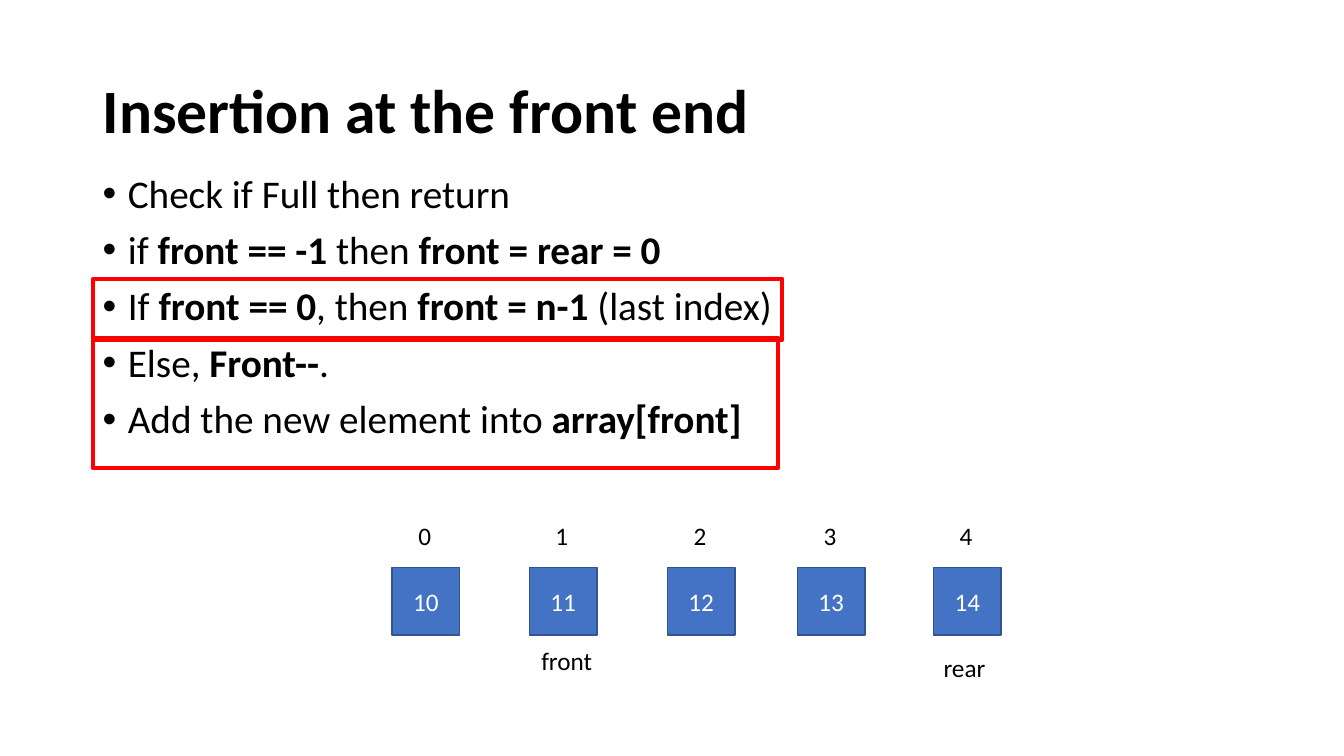
"""Build the slide on inserting at the front end of a circular deque."""
from pptx import Presentation
from pptx.dml.color import RGBColor
from pptx.enum.shapes import MSO_SHAPE as Shape
from pptx.enum.text import MSO_ANCHOR as Anchor, PP_ALIGN as Align
from pptx.oxml import parse_xml
from pptx.oxml.ns import nsdecls
from pptx.util import Inches, Pt

TITLE = "Insertion at the front end"
STEPS = [
    [("Check if Full then return", False)],
    [("if ", False), ("front == -1 ", True), ("then ", False), ("front = rear = 0", True)],
    [("If ", False), ("front == 0", True), (", then ", False), ("front = n-1 ", True),
     ("(last index)", False)],
    [("Else, ", False), ("Front--", True), (".", False)],
    [("Add the new element into ", False), ("array[front]", True)],
]
CELLS = [("10", 3.89), ("11", 5.25), ("12", 6.62), ("13", 7.91), ("14", 9.26)]
POINTERS = [("front", 5.27, 6.35, 0.71), ("rear", 9.26, 6.42, 0.62)]
HIGHLIGHTS = [(0.92, 3.35, 6.8, 1.29), (0.92, 2.77, 6.84, 0.6)]
CELL_TOP, CELL_SIZE = 5.63, 0.67
INDEX_TOP, INDEX_INSET = 5.11, 0.16


def color(hex_code):
    """Turn a hex string into a colour."""
    return RGBColor.from_string(hex_code)


def add_run(paragraph, text, size, bold=False, ink="000000"):
    """Append one styled run."""
    run = paragraph.add_run()
    run.text = text
    run.font.name = "Calibri"
    run.font.size = Pt(size)
    run.font.bold = bold
    run.font.color.rgb = color(ink)


def add_frame(box, wrap=True):
    """Add a text box and return its text frame."""
    frame = slide.shapes.add_textbox(*map(Inches, box)).text_frame
    frame.word_wrap = wrap
    return frame


def add_rect(box, outline, width, fill=None):
    """Add an outlined rectangle, filled if a colour is given."""
    rect = slide.shapes.add_shape(Shape.RECTANGLE, *map(Inches, box))
    rect.shadow.inherit = False
    rect.line.color.rgb = color(outline)
    rect.line.width = Pt(width)
    if fill:
        rect.fill.solid()
        rect.fill.fore_color.rgb = color(fill)
    else:
        rect.fill.background()
    return rect


def add_bullet(paragraph):
    """Give a paragraph a hanging bullet."""
    props = paragraph._p.get_or_add_pPr()
    props.set("marL", str(Inches(0.25)))
    props.set("indent", str(-Inches(0.25)))
    props.append(parse_xml(f'<a:buFont {nsdecls("a")} typeface="Arial"/>'))
    props.append(parse_xml(f'<a:buChar {nsdecls("a")} char="\u2022"/>'))


prs = Presentation()
prs.slide_width, prs.slide_height = Inches(13.33), Inches(7.5)
slide = prs.slides.add_slide(prs.slide_layouts[6])

heading = add_frame((0.92, 0.4, 11.5, 1.45))
heading.vertical_anchor = Anchor.MIDDLE
heading.paragraphs[0].line_spacing = 0.9
add_run(heading.paragraphs[0], TITLE, 44, True)

steps = add_frame((0.92, 1.68, 11.5, 3.14))
for number, parts in enumerate(STEPS):
    step = steps.add_paragraph() if number else steps.paragraphs[0]
    step.line_spacing = 0.9
    step.space_before = Pt(10)
    add_bullet(step)
    for text, bold in parts:
        add_run(step, text, 28, bold)

for index, (value, left) in enumerate(CELLS):
    cell = add_rect((left, CELL_TOP, CELL_SIZE, CELL_SIZE), "325491", 1, "4472C4").text_frame
    cell.vertical_anchor = Anchor.MIDDLE
    cell.paragraphs[0].alignment = Align.CENTER
    add_run(cell.paragraphs[0], value, 18, ink="FFFFFF")
    label = add_frame((left + INDEX_INSET, INDEX_TOP, 0.35, 0.4))
    add_run(label.paragraphs[0], str(index), 18)

for name, left, top, width in POINTERS:
    add_run(add_frame((left, top, width, 0.4), wrap=False).paragraphs[0], name, 18)

for box in HIGHLIGHTS:
    add_rect(box, "FF0000", 3)

prs.save("out.pptx")
